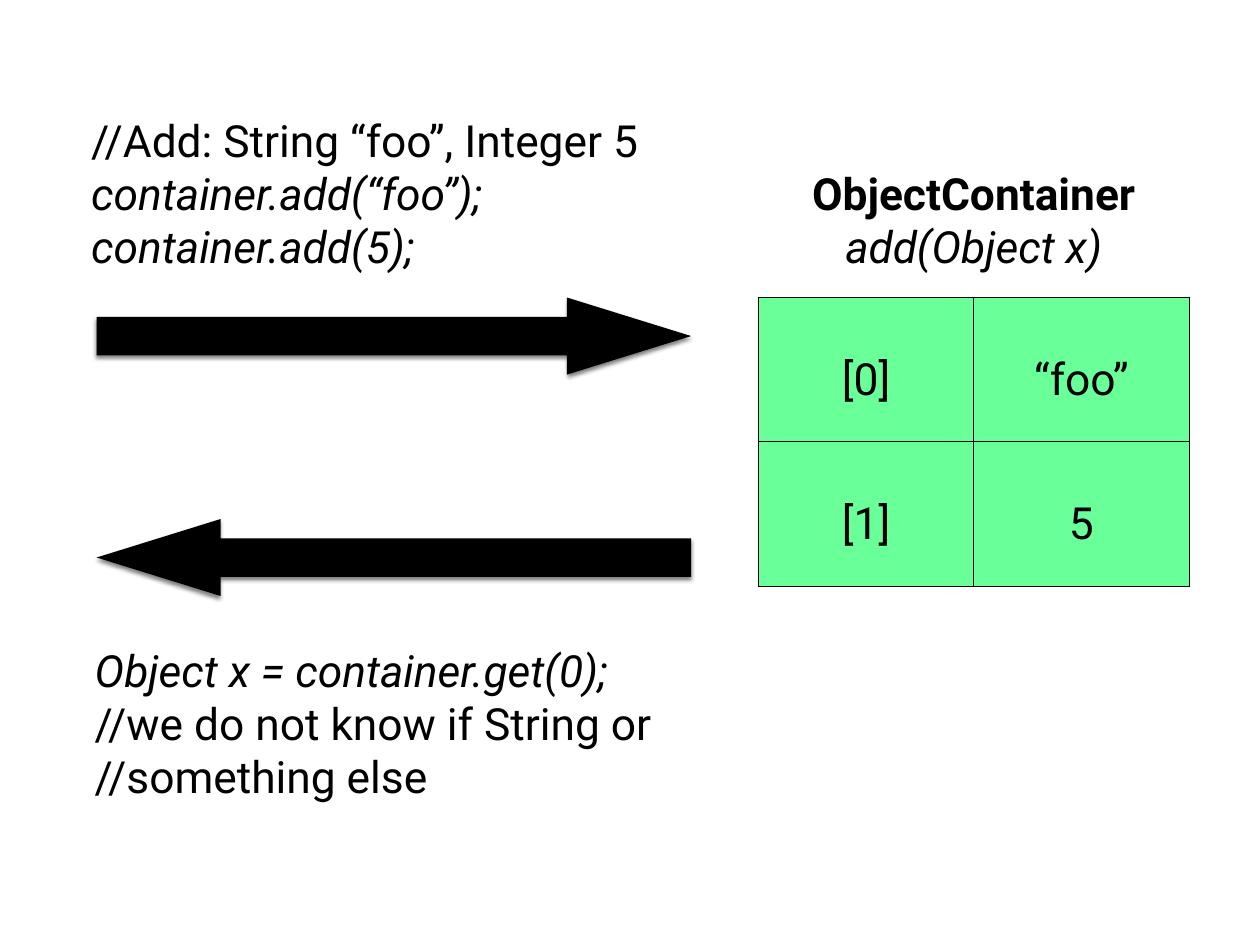
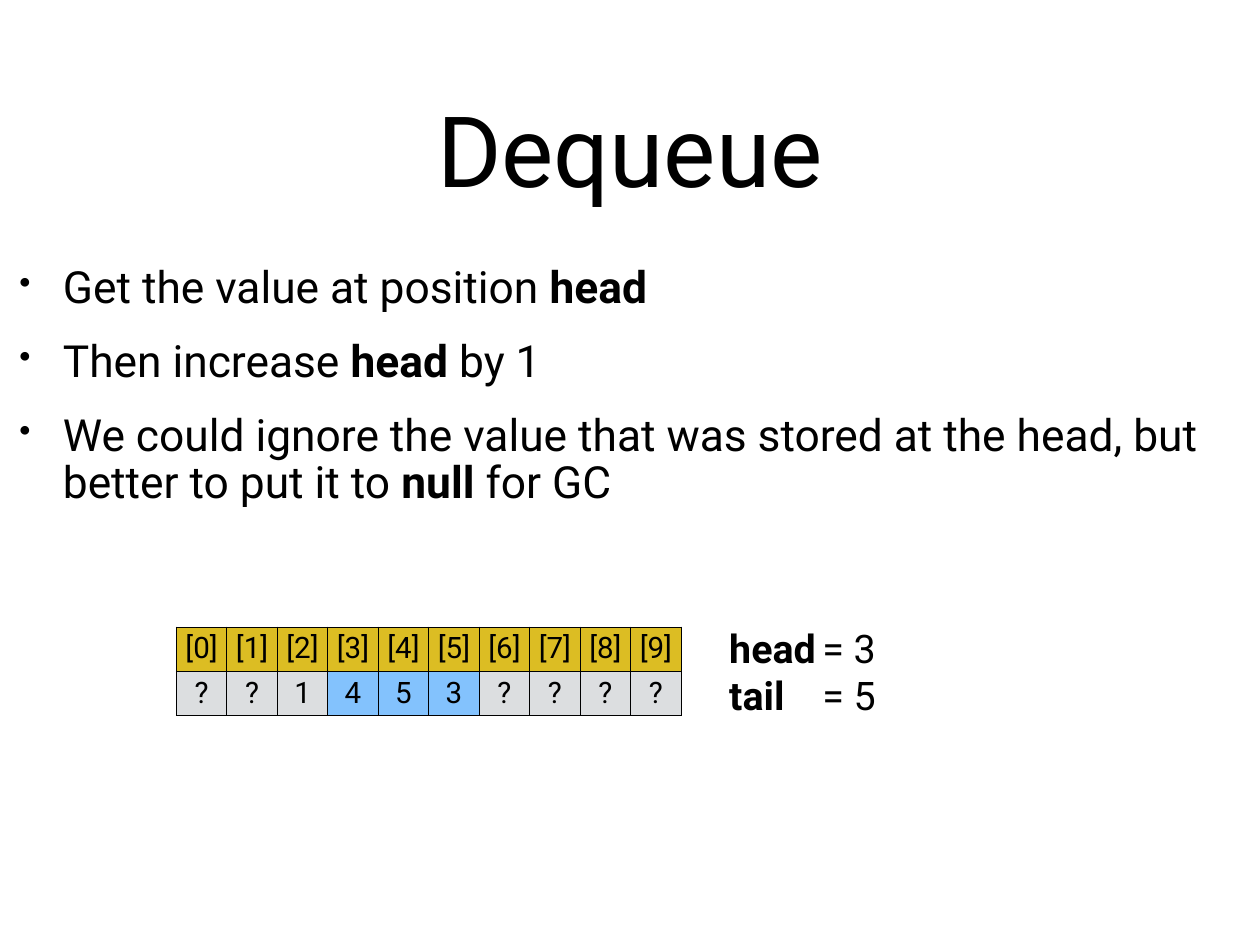
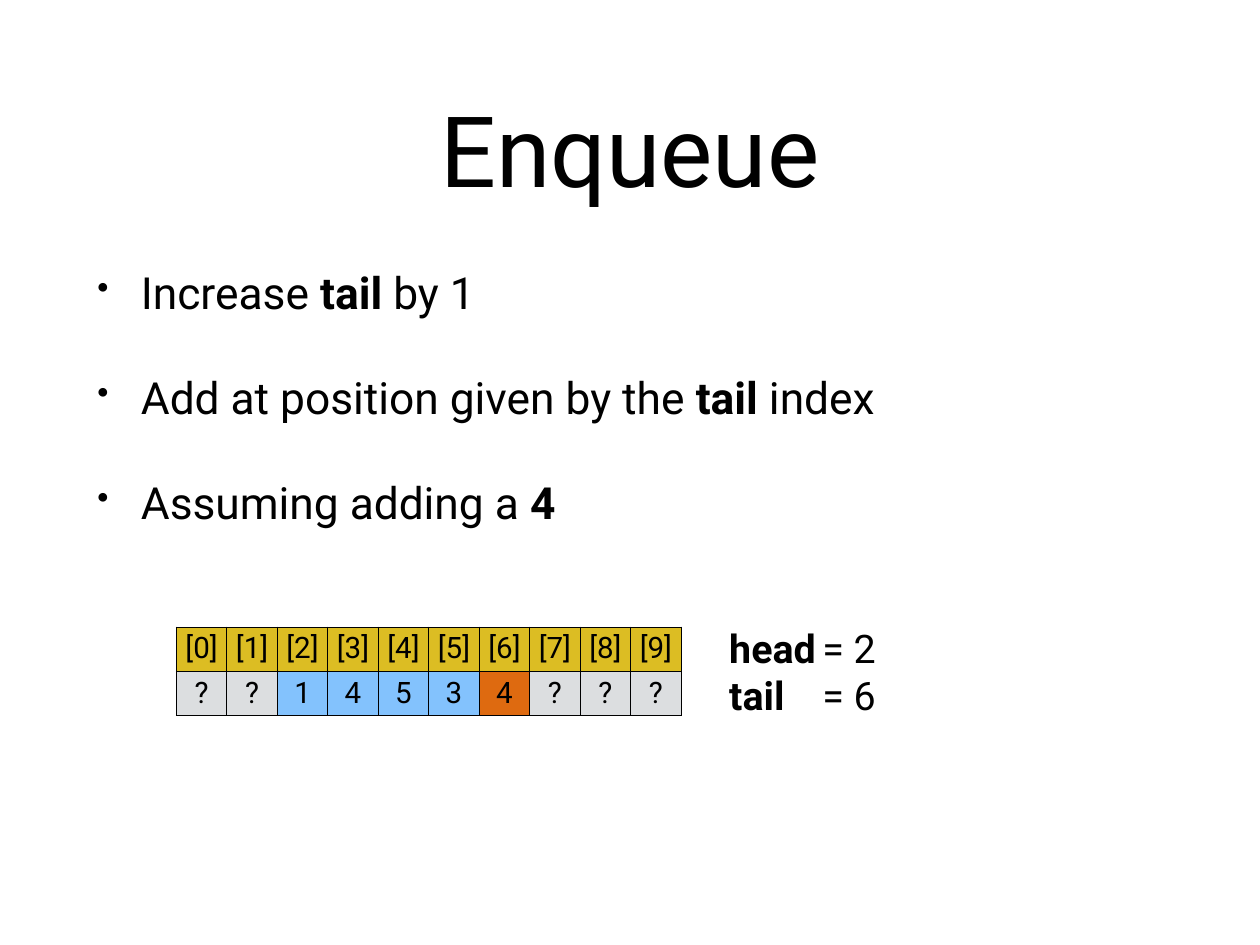
from lxml import etree
from pptx import Presentation
from pptx.dml.color import RGBColor
from pptx.enum.shapes import MSO_SHAPE
from pptx.enum.text import MSO_ANCHOR, PP_ALIGN
from pptx.oxml.ns import qn
from pptx.util import Inches, Pt

RIGHT_ARROW = MSO_SHAPE.RIGHT_ARROW
MIDDLE = MSO_ANCHOR.MIDDLE
LEFT, CENTER = PP_ALIGN.LEFT, PP_ALIGN.CENTER

# Shared style
FONT = "Roboto"
BLACK = "000000"
GREEN = "69FF99"
GOLD = "DCBD23"
GREY = "DCDEE0"
BLUE = "83C2FD"
ORANGE = "DE6A10"
BODY_SIZE = 36
INSET = 0.06


def rgb(value):
    return RGBColor.from_string(value)


def add_xml(parent, tag, **attributes):
    return etree.SubElement(parent, qn(tag), attributes)


def add_slide(presentation):
    return presentation.slides.add_slide(presentation.slide_layouts[6])


def style_font(paragraph, size, bold=None, italic=None):
    font = paragraph.font
    font.name, font.size = FONT, Pt(size)
    font.bold, font.italic = bold, italic
    font.color.rgb = rgb(BLACK)


def add_runs(paragraph, text):
    """Text between double asterisks becomes bold."""
    for index, part in enumerate(text.split("**")):
        if part:
            run = paragraph.add_run()
            run.text = part
            if index % 2:
                run.font.bold = True


def add_text(slide, box, lines, size=BODY_SIZE, align=LEFT, italic_lines=(),
             prepare=None):
    shape = slide.shapes.add_textbox(*map(Inches, box))
    frame = shape.text_frame
    frame.word_wrap = True
    frame.vertical_anchor = MIDDLE
    frame.margin_left = frame.margin_right = Inches(INSET)
    frame.margin_top = frame.margin_bottom = Inches(INSET)
    for index, line in enumerate(lines):
        paragraph = frame.add_paragraph() if index else frame.paragraphs[0]
        if prepare:
            prepare(paragraph)
        paragraph.alignment = align
        style_font(paragraph, size, italic=index in italic_lines or None)
        add_runs(paragraph, line)


def add_title(slide, text):
    add_text(slide, (1.04, 0.49, 12.14, 2.36), [text], size=80, align=CENTER)


def add_bullets(slide, box, lines, space_before, line_spacing=1.0):
    def prepare(paragraph):
        properties = paragraph._p.get_or_add_pPr()
        properties.set("marL", str(Inches(0.49)))
        properties.set("indent", str(Inches(-0.49)))
        add_xml(properties, "a:buSzPct", val="75000")
        add_xml(properties, "a:buChar", char="•")
        paragraph.space_before = Pt(space_before)
        paragraph.line_spacing = line_spacing

    add_text(slide, box, lines, prepare=prepare)


def add_arrow(slide, top, rotation=0):
    arrow = slide.shapes.add_shape(
        RIGHT_ARROW, Inches(1.09), Inches(top), Inches(6.71), Inches(0.87))
    arrow.adjustments[0], arrow.adjustments[1] = 0.5, 1.61
    arrow.rotation = rotation
    arrow.fill.solid()
    arrow.fill.fore_color.rgb = rgb(BLACK)
    arrow.line.fill.background()
    # Soft shadow straight below
    arrow.shadow.inherit = False
    effects = arrow._element.spPr.find(qn("a:effectLst"))
    shadow = add_xml(effects, "a:outerShdw", blurRad=str(Pt(3)),
                     dist=str(Pt(2)), dir="5400000", rotWithShape="0")
    color = add_xml(shadow, "a:srgbClr", val=BLACK)
    add_xml(color, "a:alpha", val="50000")


def style_cell(cell, text, fill, size, margin_top):
    properties = cell._tc.get_or_add_tcPr()
    for side in ("a:lnL", "a:lnR", "a:lnT", "a:lnB"):
        border = add_xml(properties, side, w=str(Pt(1)))
        add_xml(add_xml(border, "a:solidFill"), "a:srgbClr", val=BLACK)
    cell.fill.solid()
    cell.fill.fore_color.rgb = rgb(fill)
    cell.margin_left = cell.margin_right = Inches(0.05)
    cell.margin_top, cell.margin_bottom = Inches(margin_top), Inches(0.05)
    paragraph = cell.text_frame.paragraphs[0]
    paragraph.alignment = CENTER
    style_font(paragraph, size)
    add_runs(paragraph, text)


def add_grid(slide, left, top, cell_width, cell_height, rows, fills, size,
             margin_top=0.05):
    columns = len(rows[0])
    table = slide.shapes.add_table(
        len(rows), columns, Inches(left), Inches(top),
        Inches(cell_width * columns), Inches(cell_height * len(rows))).table
    table.first_row = table.horz_banding = False
    for row_index, row in enumerate(rows):
        for column_index, text in enumerate(row):
            style_cell(table.cell(row_index, column_index), text,
                       fills[row_index][column_index], size, margin_top)


def add_queue(slide, values, colors, head, tail):
    """Array with its indexes, and the two pointers beside it."""
    indexes = [f"[{index}]" for index in range(len(values))]
    fills = [[GOLD] * len(values),
             [colors.get(index, GREY) for index in range(len(values))]]
    add_grid(slide, 1.99, 7.08, 0.57, 0.49, [indexes, values], fills, size=24)

    def add_tab_stop(paragraph):
        stops = add_xml(paragraph._p.get_or_add_pPr(), "a:tabLst")
        add_xml(stops, "a:tab", pos=str(Inches(1.05)), algn="l")

    add_text(slide, (8.17, 6.98, 1.92, 1.19),
             [f"**head**\t= {head}", f"**tail**\t= {tail}"],
             size=32, prepare=add_tab_stop)


def build_container_slide(presentation):
    slide = add_slide(presentation)
    add_grid(slide, 8.56, 3.36, 2.43, 1.63, [["[0]", "“foo”"], ["[1]", "5"]],
             [[GREEN] * 2] * 2, BODY_SIZE, margin_top=0.64)
    add_text(slide, (8.97, 1.82, 4.04, 1.32),
             ["**ObjectContainer**", "add(Object x)"],
             align=CENTER, italic_lines=(1,))
    add_text(slide, (0.97, 1.21, 6.5, 1.93),
             ["//Add: String “foo”, Integer 5", "container.add(“foo”);",
              "container.add(5);"], italic_lines=(1, 2))
    add_arrow(slide, 3.36)
    add_arrow(slide, 5.86, rotation=180)
    add_text(slide, (1.01, 7.2, 7.03, 1.92),
             ["Object x = container.get(0);", "//we do not know if String or",
              "//something else"], italic_lines=(0,))


def build_dequeue_slide(presentation):
    slide = add_slide(presentation)
    add_title(slide, "Dequeue")
    add_bullets(slide, (0.16, 2.85, 13.88, 3.04),
                ["Get the value at position **head**",
                 "Then increase **head** by 1",
                 "We could ignore the value that was stored at the head, "
                 "but better to put it to **null** for GC"],
                space_before=21, line_spacing=0.9)
    add_queue(slide, "??1453????", dict.fromkeys(range(3, 6), BLUE),
              head=3, tail=5)


def build_enqueue_slide(presentation):
    slide = add_slide(presentation)
    add_title(slide, "Enqueue")
    add_bullets(slide, (1.04, 2.85, 12.14, 3.26),
                ["Increase **tail** by 1",
                 "Add at position given by the **tail** index",
                 "Assuming adding a **4**"], space_before=42)
    add_queue(slide, "??14534???",
              {**dict.fromkeys(range(2, 6), BLUE), 6: ORANGE},
              head=2, tail=6)


def main():
    presentation = Presentation()
    presentation.slide_width = Inches(14.22)
    presentation.slide_height = Inches(10.67)
    build_container_slide(presentation)
    build_dequeue_slide(presentation)
    build_enqueue_slide(presentation)
    presentation.save("out.pptx")


if __name__ == "__main__":
    main()
